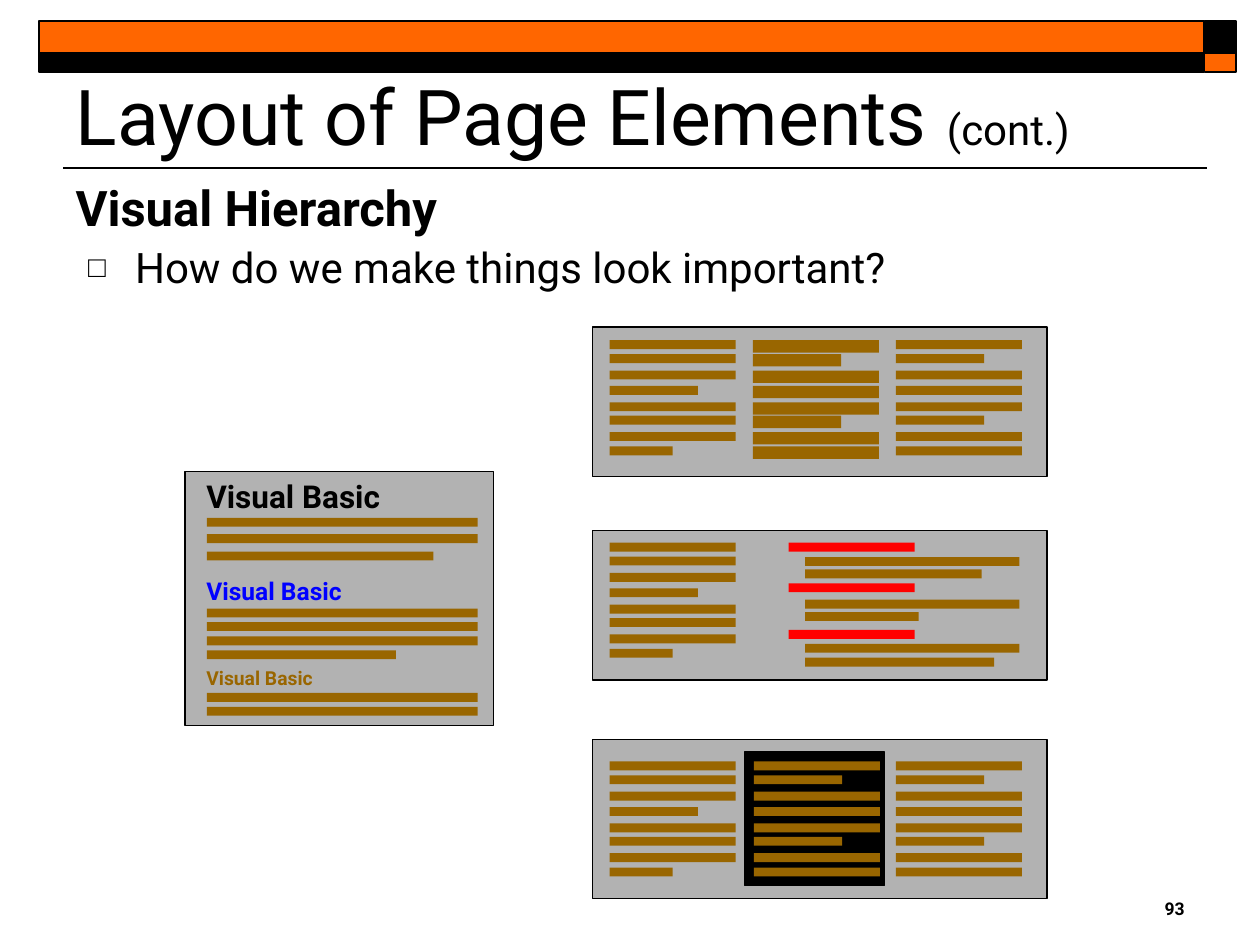
from lxml.etree import SubElement
from pptx import Presentation
from pptx.dml.color import RGBColor
from pptx.enum.shapes import MSO_CONNECTOR, MSO_SHAPE
from pptx.enum.text import MSO_ANCHOR, MSO_AUTO_SIZE, PP_ALIGN
from pptx.oxml.ns import qn
from pptx.util import Cm, Pt

BLACK, ORANGE, GREY, BROWN, RED, BLUE = (
    "000000", "FF6600", "B2B2B2", "996600", "FF0000", "0000FF")


def add_block(shapes, left, top, width, height, fill, outline=None):
    block = shapes.add_shape(MSO_SHAPE.RECTANGLE, Cm(left), Cm(top), Cm(width), Cm(height))
    block.shadow.inherit = False
    block.fill.solid()
    block.fill.fore_color.rgb = RGBColor.from_string(fill)
    if outline:
        block.line.color.rgb = RGBColor.from_string(BLACK)
        block.line.width = Pt(outline)
    else:
        block.line.fill.background()


def style_run(run, size, color=BLACK, bold=False):
    run.font.name = "Roboto"
    run.font.size = Pt(size)
    run.font.bold = bold
    run.font.color.rgb = RGBColor.from_string(color)


prs = Presentation()
prs.slide_width, prs.slide_height = Cm(25.4), Cm(19.05)
slide = prs.slides.add_slide(prs.slide_layouts[1])

# Rule under the title and banner at the top
rule = slide.shapes.add_connector(
    MSO_CONNECTOR.STRAIGHT, Cm(24.33), Cm(3.38), Cm(1.27), Cm(3.38))
rule.line.color.rgb = RGBColor.from_string(BLACK)
rule.line.width = Pt(1)
SubElement(rule._element.spPr, qn("a:effectLst"))

for top, height, wide_fill, corner_fill in [
        (0.43, 0.64, ORANGE, BLACK), (1.07, 0.38, BLACK, ORANGE)]:
    add_block(slide.shapes, 0.79, top, 23.49, height, wide_fill, 1)
    add_block(slide.shapes, 24.28, top, 0.64, height, corner_fill, 1)

# Slide number
number = slide.shapes.add_textbox(Cm(18.85), Cm(17.98), Cm(5.28), Cm(0.84)).text_frame
number.word_wrap = True
number.text = "93"
number.paragraphs[0].alignment = PP_ALIGN.RIGHT
style_run(number.paragraphs[0].runs[0], 10, bold=True)

# Title
title = slide.shapes.title
title.left, title.top, title.width, title.height = Cm(1.27), Cm(1.47), Cm(22.86), Cm(1.91)
title.text_frame.auto_size = MSO_AUTO_SIZE.NONE
title.text_frame.vertical_anchor = MSO_ANCHOR.BOTTOM
heading = title.text_frame.paragraphs[0]
heading.alignment = PP_ALIGN.LEFT
for words, size in [("Layout of Page Elements ", 44), ("(cont.)", 24)]:
    run = heading.add_run()
    run.text = words
    style_run(run, size)

# Topic and question
body = slide.placeholders[1]
body.left, body.top, body.width, body.height = Cm(1.27), Cm(3.58), Cm(22.86), Cm(14.61)
body.text_frame.auto_size = MSO_AUTO_SIZE.NONE
body.text_frame.text = "Visual Hierarchy\nHow do we make things look important?"
topic, question = body.text_frame.paragraphs

topic_format = topic._p.get_or_add_pPr()
topic_format.set("marL", "0")
topic_format.set("indent", "0")
SubElement(topic_format, qn("a:buNone"))

question_format = question._p.get_or_add_pPr()
question_format.set("marL", str(Cm(1.2)))
question_format.set("indent", str(-Cm(0.95)))
SubElement(SubElement(question_format, qn("a:buClr")), qn("a:srgbClr"), val=BLACK)
SubElement(question_format, qn("a:buSzPct"), val="70000")
SubElement(question_format, qn("a:buChar"), char="□")

for paragraph, size, before in [(topic, 28, 0), (question, 24, 6)]:
    paragraph.line_spacing = 0.9
    paragraph.space_before = Pt(before)
    style_run(paragraph.runs[0], size, bold=paragraph is topic)

# Page with headings of falling size
BAR = 0.18
page = slide.shapes.add_group_shape().shapes
add_block(page, 3.73, 9.5, 6.22, 5.13, GREY, 0.75)
for top, width in [(10.44, 5.46), (10.77, 5.46), (11.12, 4.57),
                   (12.27, 5.46), (12.54, 5.46), (12.83, 5.46), (13.11, 3.81),
                   (13.97, 5.46), (14.25, 5.46)]:
    add_block(page, 4.17, top, width, BAR, BROWN)
for top, width, height, size, color in [
        (9.5, 4.22, 1.02, 18, BLACK), (11.48, 3.4, 0.86, 14, BLUE),
        (13.31, 2.79, 0.74, 11, BROWN)]:
    label = page.add_textbox(Cm(3.91), Cm(top), Cm(width), Cm(height)).text_frame
    label.word_wrap = False
    label.text = "Visual Basic"
    style_run(label.paragraphs[0].runs[0], size, color, True)

# Three panels, each made of columns: left, line widths, bar height
LINE_OFFSETS = [0, 0.28, 0.61, 0.92, 1.25, 1.52, 1.85, 2.14]
FULL, PART, HALF = 2.54, 1.78, 1.27
RAGGED = [FULL, FULL, FULL, PART, FULL, FULL, FULL, HALF]
PAIRED = [FULL, PART, FULL, FULL, FULL, PART, FULL, FULL]
left_column = (12.29, RAGGED, BAR)
right_column = (18.06, PAIRED, BAR)
bold_column = (15.18, PAIRED, 0.25)
boxed_column = (15.2, PAIRED, BAR)

panels = []
for panel_top, panel_height, first_line, columns in [
        (6.59, 3.02, 6.86, [left_column, bold_column, right_column]),
        (14.91, 3.2, 15.35, [left_column, right_column, boxed_column]),
        (10.69, 3.02, 10.94, [left_column])]:
    panel = slide.shapes.add_group_shape().shapes
    panels.append(panel)
    add_block(panel, 11.94, panel_top, 9.17, panel_height, GREY, 0.75)
    for column in columns:
        left, widths, height = column
        if column is boxed_column:
            add_block(panel, 15.01, 15.16, 2.82, 2.69, BLACK, 0.75)
        for offset, width in zip(LINE_OFFSETS, widths):
            add_block(panel, left, first_line + offset, width, height, BROWN)

# Red headings with indented lines in the middle panel
for red_top, indented_lines in [
        (10.94, [(11.23, 4.32), (11.48, 3.56)]),
        (11.76, [(12.09, 4.32), (12.34, 2.29)]),
        (12.7, [(12.98, 4.32), (13.26, 3.81)])]:
    add_block(panels[2], 15.9, red_top, FULL, BAR, RED)
    for top, width in indented_lines:
        add_block(panels[2], 16.23, top, width, BAR, BROWN)

prs.save("out.pptx")
